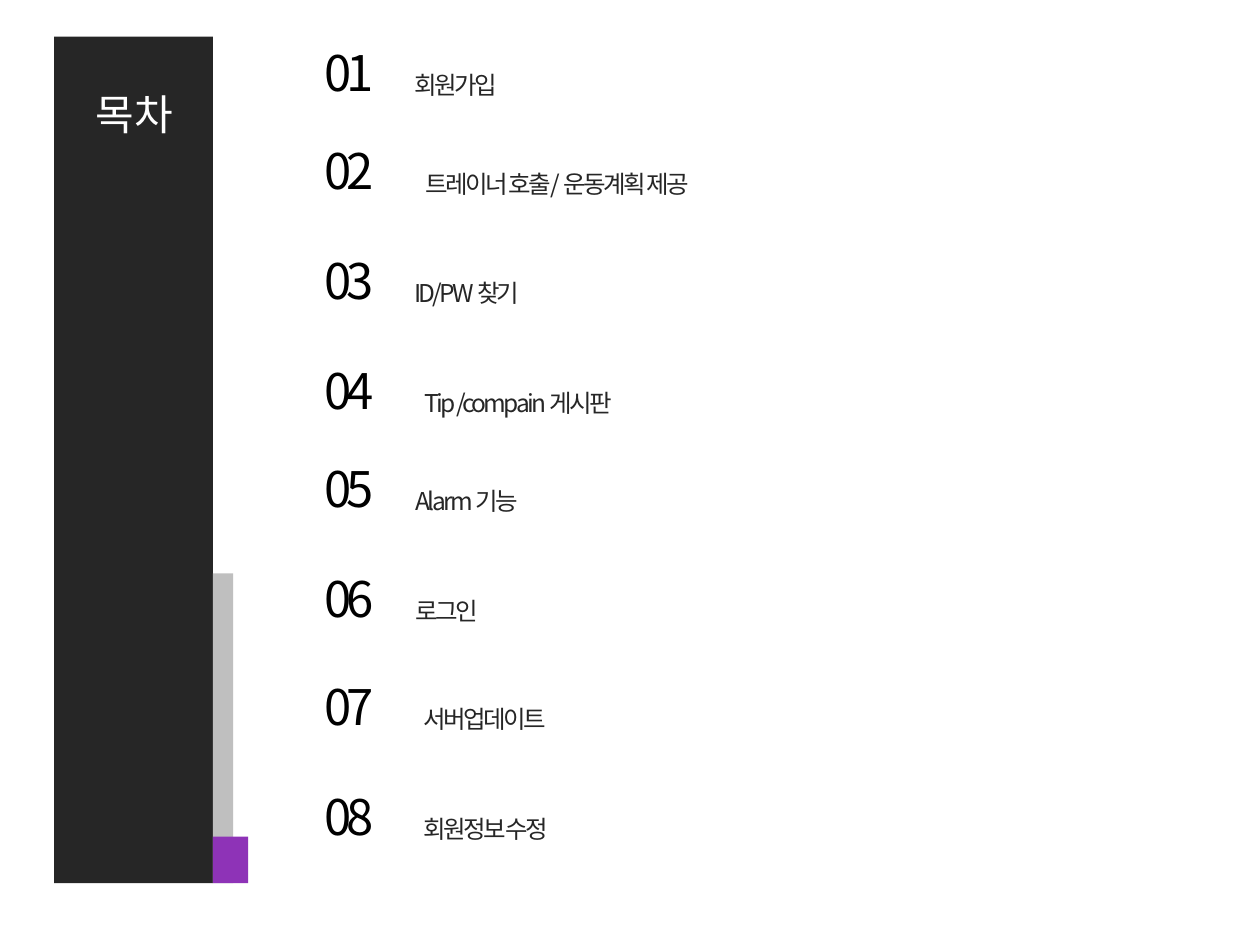
from lxml.etree import SubElement
from pptx import Presentation
from pptx.dml.color import RGBColor
from pptx.enum.shapes import MSO_SHAPE
from pptx.enum.text import MSO_ANCHOR, MSO_AUTO_SIZE, PP_ALIGN
from pptx.oxml.ns import qn
from pptx.util import Inches, Pt

FONT = "Noto Sans CJK KR"
BLACK = RGBColor(0x00, 0x00, 0x00)
WHITE = RGBColor(0xFF, 0xFF, 0xFF)
CHARCOAL = RGBColor(0x26, 0x26, 0x26)
GRAY = RGBColor(0xBF, 0xBF, 0xBF)
PURPLE = RGBColor(0x8E, 0x33, 0xB7)

TITLE_FORMAT = {"size": Pt(24), "color": WHITE, "spacing": 0}
NUMBER_FORMAT = {"size": Pt(28), "color": BLACK, "spacing": -300}
LABEL_FORMAT = {"size": Pt(14), "color": CHARCOAL, "spacing": -150}
LABEL_DROP = 0.22


def write_text(box, text, style):
    """Put one formatted line at the top of a text shape."""
    frame = box.text_frame
    frame_format = {
        "word_wrap": True,
        "auto_size": MSO_AUTO_SIZE.NONE,
        "vertical_anchor": MSO_ANCHOR.TOP,
    }
    for name, value in frame_format.items():
        setattr(frame, name, value)
    span = frame.paragraphs[0].add_run()
    span.text = text
    span.font.size = style["size"]
    span.font.color.rgb = style["color"]
    span.font.name = FONT
    properties = span.font._element
    properties.set("spc", str(style["spacing"]))
    SubElement(properties, qn("a:ea")).set("typeface", FONT)


deck = Presentation()
deck.slide_width, deck.slide_height = Inches(10), Inches(7.5)
page = deck.slides.add_slide(deck.slide_layouts[5])

# Side panel
panels = [
    (0.43, 0.29, 1.26, 6.72, CHARCOAL),
    (1.69, 4.55, 0.16, 2.46, GRAY),
    (1.69, 6.64, 0.28, 0.37, PURPLE),
]
for *bounds, color in panels:
    panel = page.shapes.add_shape(MSO_SHAPE.RECTANGLE, *map(Inches, bounds))
    panel.shadow.inherit = False
    panel.fill.solid()
    panel.fill.fore_color.rgb = color
    panel.line.fill.background()

# Title, brought in front of the panel
title = page.shapes.title
title.left, title.top, title.width, title.height = map(Inches, (0.28, 0.65, 1.57, 0.5))
write_text(title, "목차", TITLE_FORMAT)
title.text_frame.paragraphs[0].alignment = PP_ALIGN.CENTER
title.element.getparent().append(title.element)

# Contents: number top, label left, label width, label
entries = [
    (0.29, 3.19, 2.36, "회원가입"),
    (1.07, 3.28, 2.66, "트레이너 호출/ 운동계획 제공"),
    (1.94, 3.19, 2.36, "ID/PW 찾기"),
    (2.81, 3.27, 2.13, "Tip /compain 게시판"),
    (3.59, 3.2, 2.04, "Alarm 기능"),
    (4.46, 3.2, 2.04, "로그인"),
    (5.32, 3.26, 2.21, "서버업데이트"),
    (6.19, 3.26, 2.21, "회원정보 수정"),
]
for index, (top, label_left, label_width, label) in enumerate(entries, start=1):
    entry = page.shapes.add_group_shape()
    number_box = entry.shapes.add_textbox(
        Inches(2.48), Inches(top), Inches(1.6), Inches(0.57))
    write_text(number_box, f"{index:02d}", NUMBER_FORMAT)
    label_box = entry.shapes.add_textbox(
        Inches(label_left), Inches(top + LABEL_DROP), Inches(label_width), Inches(0.34))
    write_text(label_box, label, LABEL_FORMAT)

deck.save("out.pptx")
